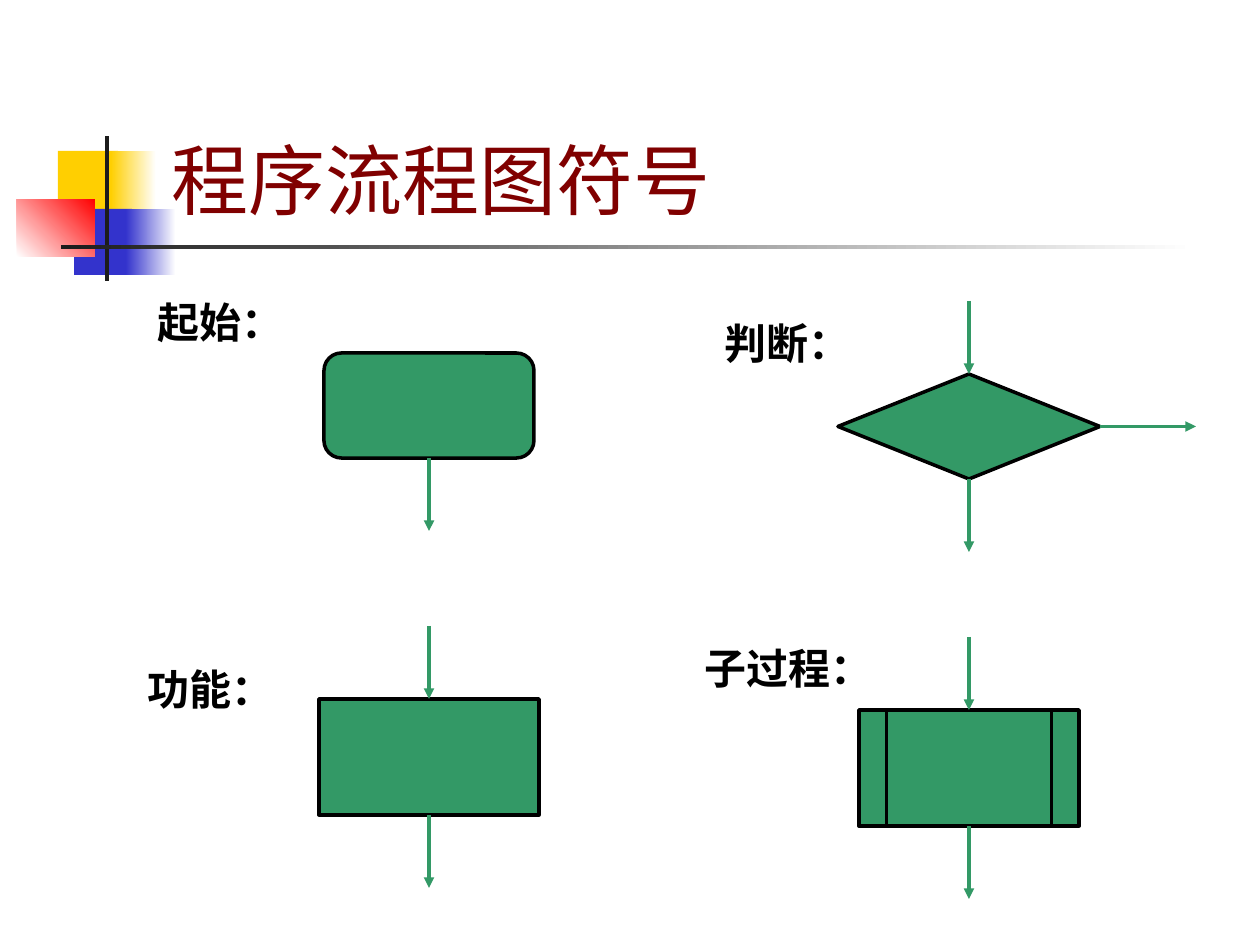
from lxml import etree
from pptx import Presentation
from pptx.dml.color import RGBColor
from pptx.enum.shapes import MSO_CONNECTOR, MSO_SHAPE
from pptx.enum.text import MSO_ANCHOR, MSO_AUTO_SIZE, PP_ALIGN
from pptx.oxml.ns import qn
from pptx.util import Inches, Pt

RECTANGLE = MSO_SHAPE.RECTANGLE
STRAIGHT = MSO_CONNECTOR.STRAIGHT
PX = Inches(1) / 126
TITLE_ONLY = 5
ARROW_LENGTH = 73
LINE_WIDTH = Pt(2)

COLORS = {
    "white": "FFFFFF", "black": "000000", "yellow": "FFCF01", "blue": "3333CC",
    "red": "FF0000", "ink": "1C1C1C", "green": "339966", "maroon": "800000",
}

TITLE = ("程序流程图符号", (159, 29, 1073, 202))
TITLE_FORMAT = {"name": "Roboto", "size": Pt(44), "bold": False}
LABEL_FORMAT = {"name": "Times New Roman", "size": Pt(24), "bold": True}

DECORATIONS = [
    ((58, 151, 60, 66), ["yellow"], 0),
    ((111, 151, 45, 66), ["yellow", "white"], 0),
    ((74, 209, 58, 66), ["blue"], 0),
    ((126, 209, 50, 66), ["blue", "white"], 0),
    ((17, 199, 78, 58), ["white", "red"], 45),
    ((105, 136, 4, 145), ["ink"], 0),
    ((61, 245, 1134, 4), ["ink", "white"], 0),
]

SYMBOLS = [
    {"label": "起始：", "label_box": (145, 290, 158, 63),
     "shape": MSO_SHAPE.FLOWCHART_ALTERNATE_PROCESS,
     "box": (324, 353, 210, 105), "arrows": ["out"]},
    {"label": "功能：", "label_box": (135, 657, 158, 63),
     "shape": RECTANGLE,
     "box": (319, 699, 220, 116), "arrows": ["in", "out"]},
    {"label": "判断：", "label_box": (712, 311, 158, 63),
     "shape": MSO_SHAPE.FLOWCHART_DECISION,
     "box": (838, 374, 262, 105), "arrows": ["in", "out", "branch"]},
    {"label": "子过程：", "label_box": (692, 636, 210, 63),
     "shape": MSO_SHAPE.FLOWCHART_PREDEFINED_PROCESS,
     "box": (859, 710, 220, 116), "arrows": ["in", "out"]},
]


def px(*values):
    return [round(value * PX) for value in values]


def color(name):
    return RGBColor.from_string(COLORS[name])


def format_text(frame, text, color_name, formats):
    frame.text = text
    font = frame.paragraphs[0].runs[0].font
    for attribute, value in formats.items():
        setattr(font, attribute, value)
    font.color.rgb = color(color_name)


def add_decoration(slide, box, color_names, angle):
    shape = slide.shapes.add_shape(RECTANGLE, *px(*box))
    shape.shadow.inherit = False
    shape.line.fill.background()
    if len(color_names) == 1:
        shape.fill.solid()
        shape.fill.fore_color.rgb = color(color_names[0])
        return
    shape.fill.gradient()
    shape.fill.gradient_angle = angle
    for position, (stop, name) in enumerate(zip(shape.fill.gradient_stops, color_names)):
        stop.position = position
        stop.color.rgb = color(name)


def add_arrow(slide, symbol, box, direction):
    left, top, width, height = box
    center, middle = left + width / 2, top + height / 2
    bottom, right = top + height, left + width
    start, end, side = {
        "in": ((center, top - ARROW_LENGTH), (center, top), 0),
        "out": ((center, bottom), (center, bottom + ARROW_LENGTH), 2),
        "branch": ((right, middle), (right + 96, middle), 3),
    }[direction]
    arrow = slide.shapes.add_connector(STRAIGHT, *px(*start, *end))
    connect = arrow.end_connect if direction == "in" else arrow.begin_connect
    connect(symbol, side)
    arrow.line.color.rgb = color("green")
    arrow.line.width = LINE_WIDTH
    etree.SubElement(arrow.line._get_or_add_ln(), qn("a:tailEnd"), type="triangle")
    etree.SubElement(arrow._element.spPr, qn("a:effectLst"))


def add_symbol(slide, item):
    shape = slide.shapes.add_shape(item["shape"], *px(*item["box"]))
    shape.shadow.inherit = False
    shape.fill.solid()
    shape.fill.fore_color.rgb = color("green")
    shape.line.color.rgb = color("black")
    shape.line.width = LINE_WIDTH
    for direction in item["arrows"]:
        add_arrow(slide, shape, item["box"], direction)
    label = slide.shapes.add_textbox(*px(*item["label_box"]))
    label.text_frame.word_wrap = True
    label.text_frame.auto_size = MSO_AUTO_SIZE.SHAPE_TO_FIT_TEXT
    format_text(label.text_frame, item["label"], "black", LABEL_FORMAT)


def add_title(slide):
    text, box = TITLE
    title = slide.shapes.title
    title.left, title.top, title.width, title.height = px(*box)
    frame = title.text_frame
    format_text(frame, text, "maroon", TITLE_FORMAT)
    frame.vertical_anchor = MSO_ANCHOR.BOTTOM
    frame.auto_size = MSO_AUTO_SIZE.NONE
    frame.paragraphs[0].alignment = PP_ALIGN.LEFT
    title._element.getparent().append(title._element)


def main():
    presentation = Presentation()
    presentation.slide_width, presentation.slide_height = px(1260, 945)
    slide = presentation.slides.add_slide(presentation.slide_layouts[TITLE_ONLY])
    for decoration in DECORATIONS:
        add_decoration(slide, *decoration)
    add_title(slide)
    for item in SYMBOLS:
        add_symbol(slide, item)
    presentation.save("out.pptx")


if __name__ == "__main__":
    main()
